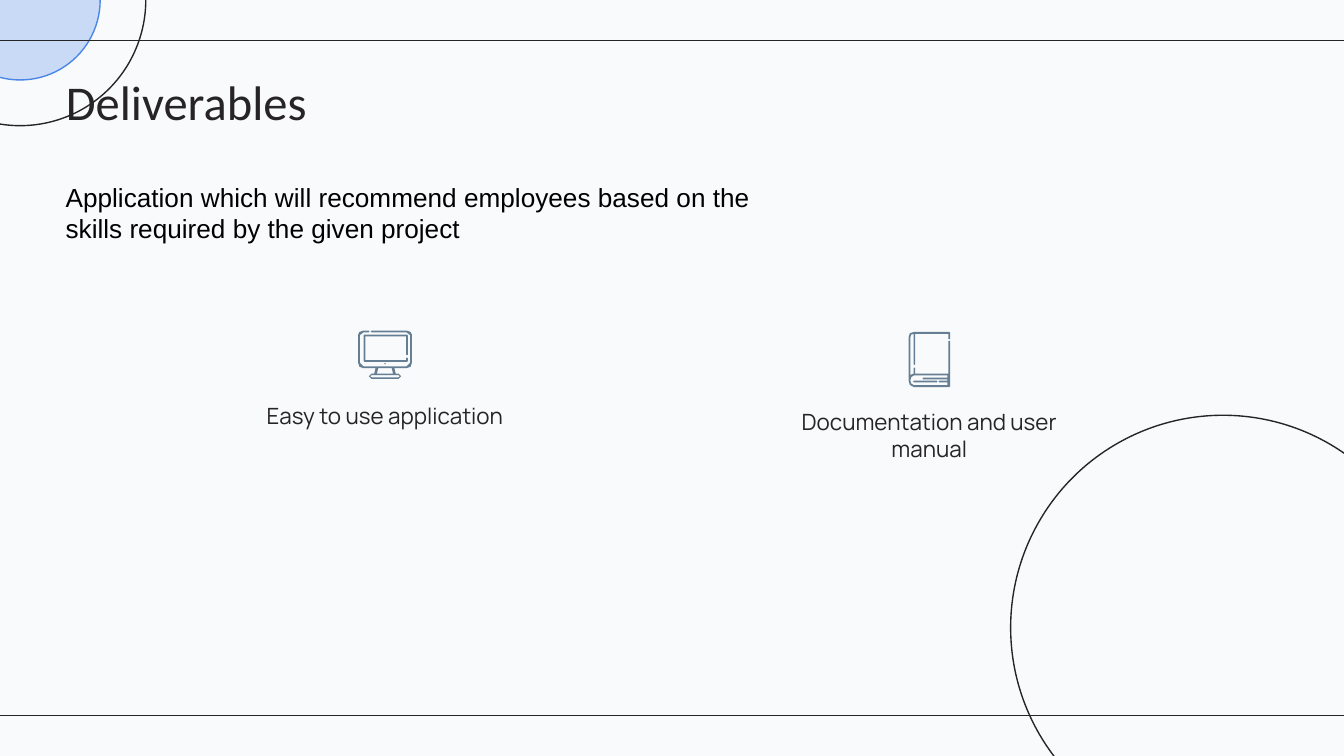
from lxml import etree
from pptx import Presentation
from pptx.dml.color import RGBColor
from pptx.enum.shapes import MSO_CONNECTOR, MSO_SHAPE
from pptx.enum.text import MSO_ANCHOR, MSO_AUTO_SIZE, PP_ALIGN
from pptx.oxml.ns import qn
from pptx.util import Inches, Pt

STRAIGHT = MSO_CONNECTOR.STRAIGHT
OVAL = MSO_SHAPE.OVAL
FIXED_SIZE = MSO_AUTO_SIZE.NONE
TOP, MIDDLE = MSO_ANCHOR.TOP, MSO_ANCHOR.MIDDLE
LEFT, CENTER = PP_ALIGN.LEFT, PP_ALIGN.CENTER

WIDTH = 10
HEIGHT = WIDTH * 9 / 16
INK, BLUE, STEEL, PAPER = "262425", "4A86E8", "657E93", "F8FAFB"

# Each icon is a list of shapes, each shape a list of contours,
# in hundredths of an inch from the icon's top left corner.
MONITOR = [
    [  # case and stand, with the openings in the stand and the foot
        [(4, 0), (1, 1), (0, 3), (0, 24), (1, 27), (4, 28), (13, 28), (12, 32),
         (10, 32), (8, 34), (10, 36), (30, 36), (32, 34), (30, 32), (28, 32),
         (27, 28), (36, 28), (39, 27), (40, 24), (40, 3), (39, 1), (36, 0),
         (10, 0), (9.4, 0.6), (10, 1.3), (36, 1.3), (38.7, 3.5), (38.7, 24),
         (36, 26.7), (4, 26.7), (1.3, 24), (1.3, 3.5), (4, 1.3), (8, 1.3),
         (8.5, 0.6), (8, 0)],
        [(25, 28), (26, 32), (14, 32), (15, 28)],
        [(30, 33.2), (31, 34), (30, 34.8), (10, 34.8), (9, 34), (10, 33.2)],
    ],
    [  # screen
        [(4.6, 3), (4, 3.6), (4, 22.6), (4.6, 23.2), (36.4, 23.2), (37, 22.6),
         (37, 20.5), (36.3, 20), (35.7, 20.5), (35.7, 22), (5.3, 22),
         (5.3, 4.3), (35.7, 4.3), (35.7, 17.8), (36.3, 18.4), (37, 17.8),
         (37, 3.6), (36.4, 3)],
    ],
    [[(20, 24), (19.4, 24.6), (20, 25.2), (20.6, 24.6)]],  # camera
]
BOOK = [
    [  # cover, with the opening between the pages
        [(4, 0), (1, 1), (0, 4), (0, 36), (1, 39.5), (4, 41), (30.4, 41),
         (31, 40.4), (31, 7), (30.3, 6.5), (29.6, 7), (29.6, 31), (5, 31),
         (5, 27), (4.4, 26.4), (3.8, 27), (3.8, 31), (1.4, 32), (1.4, 4),
         (2, 2), (3.8, 1.4), (3.8, 24), (4.4, 24.6), (5, 24), (5, 1.4),
         (29.6, 1.4), (29.6, 5), (30.3, 5.5), (31, 5), (31, 0.6), (30.4, 0)],
        [(29, 32.4), (29, 34), (11, 34), (10.4, 34.7), (11, 35.3), (29, 35.3),
         (29, 36.3), (23, 36.3), (22.4, 37), (23, 37.6), (29, 37.6),
         (29, 39.6), (4, 39.6), (2, 38.4), (1.4, 36), (2, 33.6), (4, 32.4)],
    ],
    [[(4, 36.2), (3.5, 36.8), (4, 37.5), (21, 37.5), (21.6, 36.8), (21, 36.2)]],
]


def color(hex_string):
    return RGBColor.from_string(hex_string)


def place(shape, box):
    shape.left, shape.top, shape.width, shape.height = map(Inches, box)


def write(shape, text, font, size, ink=INK, align=LEFT, anchor=TOP, pad=0.1):
    frame = shape.text_frame
    frame.word_wrap = True
    frame.auto_size = FIXED_SIZE
    frame.vertical_anchor = anchor
    frame.margin_left = frame.margin_right = Inches(0.1)
    frame.margin_top = frame.margin_bottom = Inches(pad)
    para = frame.paragraphs[0]
    para.alignment = align
    para.space_before = Pt(0)
    span = para.add_run()
    span.text = text
    span.font.name, span.font.size = font, Pt(size)
    span.font.color.rgb = color(ink)


def add_circle(page, center_x, center_y, diameter, line=INK, fill=None, opacity=100):
    circle = page.shapes.add_shape(OVAL, 0, 0, 0, 0)
    place(circle, (center_x - diameter / 2, center_y - diameter / 2, diameter, diameter))
    circle.shadow.inherit = False
    circle.line.color.rgb, circle.line.width = color(line), Pt(0.75)
    if fill is None:
        circle.fill.background()
        return
    circle.fill.solid()
    circle.fill.fore_color.rgb = color(fill)
    tint = circle.fill._xPr.find(qn("a:solidFill"))[0]
    etree.SubElement(tint, qn("a:alpha")).set("val", str(opacity * 1000))


def add_rule(page, y):
    rule = page.shapes.add_connector(
        STRAIGHT, Inches(WIDTH + 0.02), Inches(y), Inches(-0.02), Inches(y))
    rule.line.color.rgb, rule.line.width = color(INK), Pt(0.75)
    etree.SubElement(rule._element.spPr, qn("a:effectLst"))


def add_decoration(page):
    add_circle(page, 0.15, 0, 1.87)
    add_circle(page, 0.15, 0, 1.19, line=BLUE, fill=BLUE, opacity=27)
    add_circle(page, 9.1, 4.67, 3.16)
    for y in (0.3, HEIGHT - 0.3):
        add_rule(page, y)


def add_icon(page, left, top, outlines):
    group = page.shapes.add_group_shape()
    for contours in outlines:
        builder = None
        for contour in contours:
            start, *rest = [(Inches(x / 100), Inches(y / 100)) for x, y in contour]
            if builder is None:
                builder = group.shapes.build_freeform(*start)
            else:
                builder.move_to(*start)
            builder.add_line_segments(rest, close=True)
        part = builder.convert_to_shape(Inches(left), Inches(top))
        part.shadow.inherit = False
        part.fill.solid()
        part.fill.fore_color.rgb = color(STEEL)
        part.line.fill.background()


def add_deliverable(page, label, box, text, outlines, icon_width, icon_rise):
    """Caption in the box, with the icon centred above it."""
    left, top, width, _ = box
    place(label, box)
    write(label, text, "Manrope", 12, align=CENTER)
    add_icon(page, left + (width - icon_width) / 2, top - icon_rise, outlines)


def build_deliverables_page(deck):
    page = deck.slides.add_slide(deck.slide_layouts[0])
    page.background.fill.solid()
    page.background.fill.fore_color.rgb = color(PAPER)
    add_decoration(page)

    title, subtitle = page.shapes.title, page.placeholders[1]
    for holder in (subtitle, title):  # bring the text in front of the circles
        page.shapes._spTree.append(holder._element)
    place(title, (0.39, 0.42, 8.43, 0.67))
    write(title, "Deliverables", "Calibri", 26, anchor=MIDDLE)

    summary = page.shapes.add_textbox(0, 0, 0, 0)
    place(summary, (0.39, 1.3, 5.76, 0.57))
    write(summary, "Application which will recommend employees based on the "
          "skills required by the given project", "Arial", 14, ink="000000", pad=0.05)

    add_deliverable(page, subtitle, (1.63, 2.89, 2.47, 0.47),
                    "Easy to use application", MONITOR, 0.4, 0.43)
    add_deliverable(page, page.shapes.add_textbox(0, 0, 0, 0), (5.68, 2.94, 2.47, 0.47),
                    "Documentation and user manual", BOOK, 0.31, 0.47)


def main():
    deck = Presentation()
    deck.slide_width, deck.slide_height = Inches(WIDTH), Inches(HEIGHT)
    build_deliverables_page(deck)
    deck.save("out.pptx")


if __name__ == "__main__":
    main()
